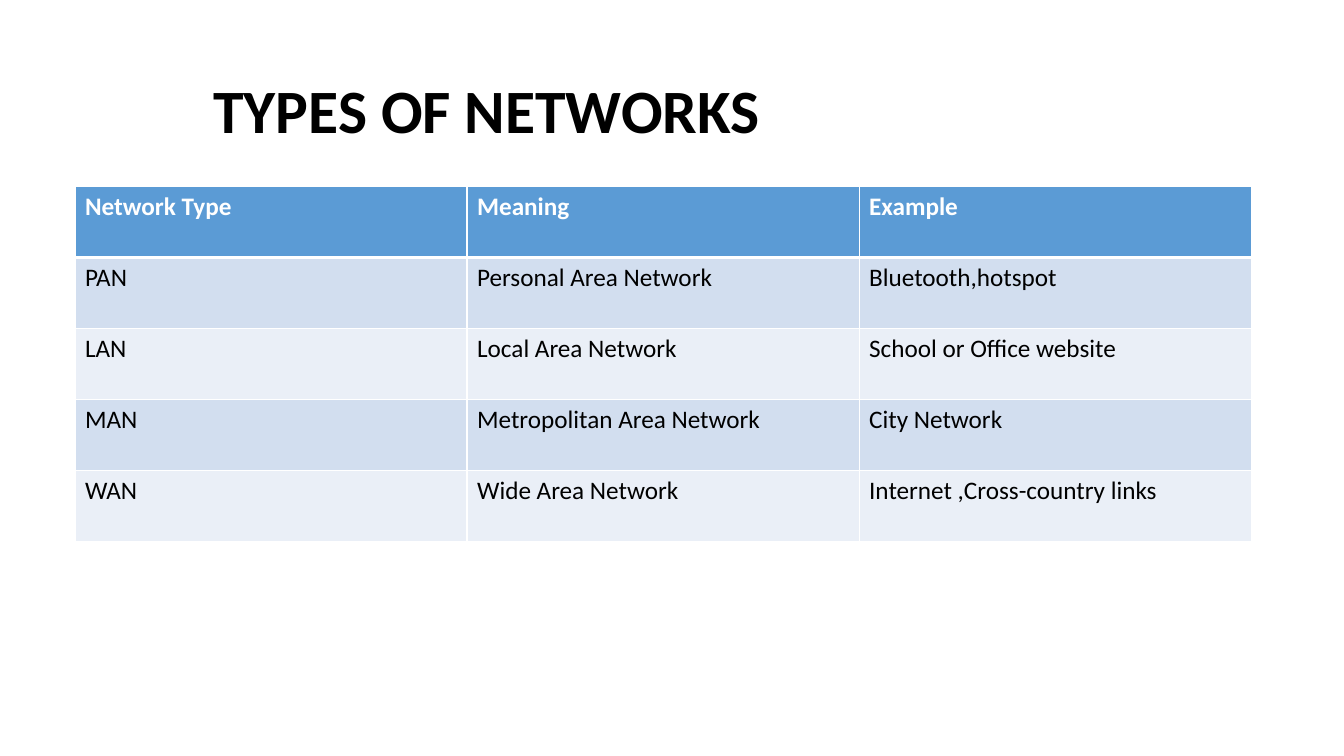
from lxml import etree
from pptx import Presentation
from pptx.dml.color import RGBColor
from pptx.enum.text import MSO_ANCHOR
from pptx.oxml.ns import qn
from pptx.util import Cm, Pt

MIDDLE = MSO_ANCHOR.MIDDLE
WHITE, BLACK, HEADER_BLUE = "FFFFFF", "000000", "5B9BD5"
BAND_FILLS = ["EAEFF7", "D2DEEF"]
NETWORKS = [
    ["Network Type", "Meaning", "Example"],
    ["PAN", "Personal Area Network", "Bluetooth,hotspot"],
    ["LAN", "Local Area Network", "School or Office website"],
    ["MAN", "Metropolitan Area Network", "City Network"],
    ["WAN", "Wide Area Network", "Internet ,Cross-country links"],
]
COLUMN_WIDTH, ROW_HEIGHT = Cm(9.88), Cm(1.79)


def write(paragraph, text, color, **font_format):
    run = paragraph.add_run()
    run.text = text
    run.font.color.rgb = RGBColor.from_string(color)
    for name, value in {"name": "Calibri", **font_format}.items():
        setattr(run.font, name, value)


def add_border(cell, side, points):
    line = etree.SubElement(cell._tc.get_or_add_tcPr(), qn(f"a:ln{side}"), w=str(Pt(points)))
    fill = etree.SubElement(line, qn("a:solidFill"))
    etree.SubElement(fill, qn("a:srgbClr"), val=WHITE)


prs = Presentation()
prs.slide_width, prs.slide_height = Cm(33.87), Cm(19.05)
slide = prs.slides.add_slide(prs.slide_layouts[6])

title = slide.shapes.add_textbox(Cm(2.33), Cm(1.01), Cm(29.21), Cm(3.68)).text_frame
title_format = {"word_wrap": True, "vertical_anchor": MIDDLE, "margin_left": Cm(3.05)}
for name, value in title_format.items():
    setattr(title, name, value)
title.paragraphs[0].line_spacing = 0.9
write(title.paragraphs[0], "TYPES OF NETWORKS", BLACK, size=Pt(44), bold=True)

row_count, column_count = len(NETWORKS), len(NETWORKS[0])
table = slide.shapes.add_table(
    row_count, column_count, Cm(1.89), Cm(4.7),
    COLUMN_WIDTH * column_count, ROW_HEIGHT * row_count,
).table
for column in table.columns:
    column.width = COLUMN_WIDTH
for row_index, (row, entries) in enumerate(zip(table.rows, NETWORKS)):
    row.height = ROW_HEIGHT
    is_header = row_index == 0
    row_fill = HEADER_BLUE if is_header else BAND_FILLS[row_index % 2]
    for cell, entry in zip(row.cells, entries):
        for side in "LRTB":
            thick = (side == "B" and row_index == 0) or (side == "T" and row_index == 1)
            add_border(cell, side, 3 if thick else 1)
        cell.fill.solid()
        cell.fill.fore_color.rgb = RGBColor.from_string(row_fill)
        write(cell.text_frame.paragraphs[0], entry, WHITE if is_header else BLACK,
              size=Pt(18), bold=is_header)

prs.save("out.pptx")
